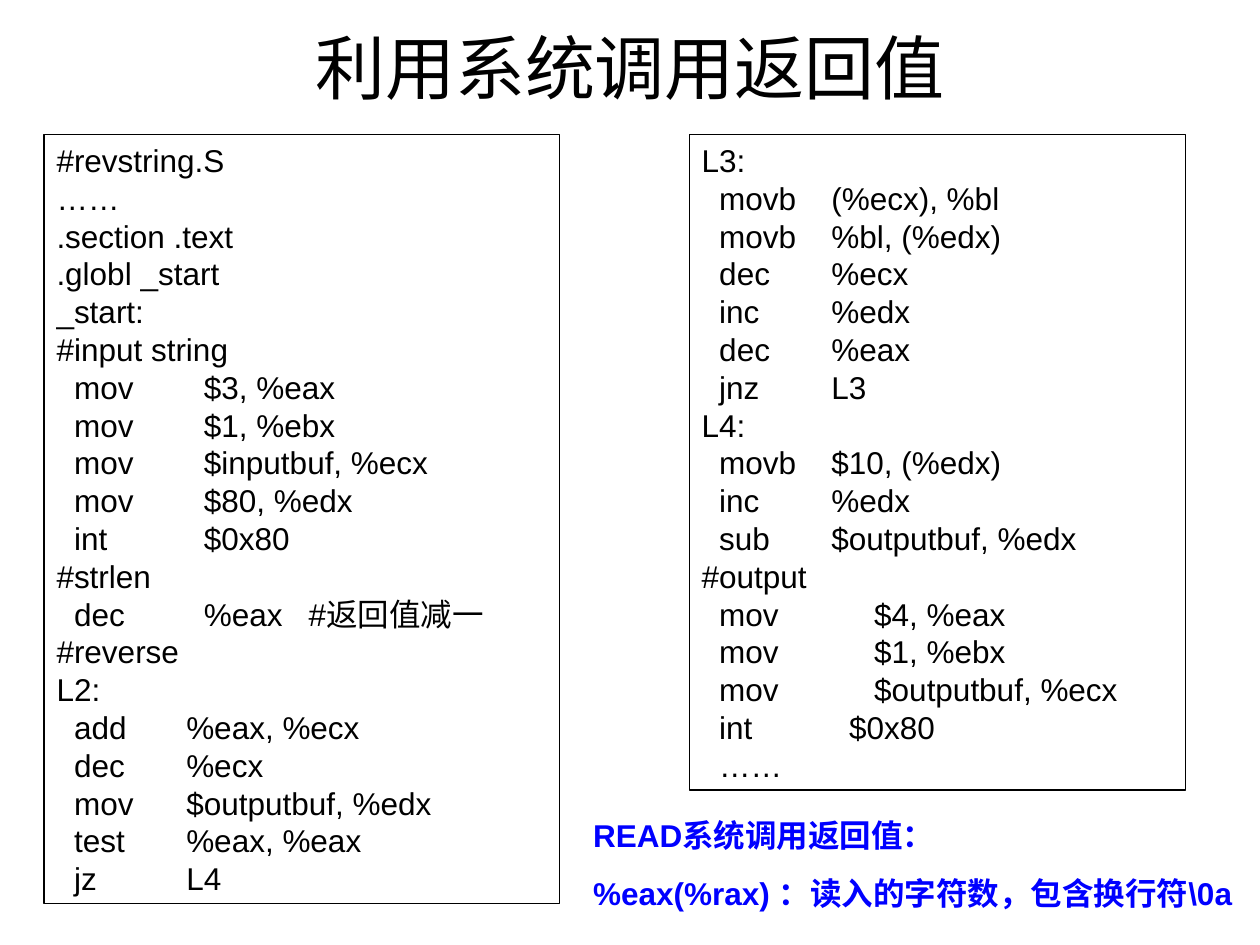
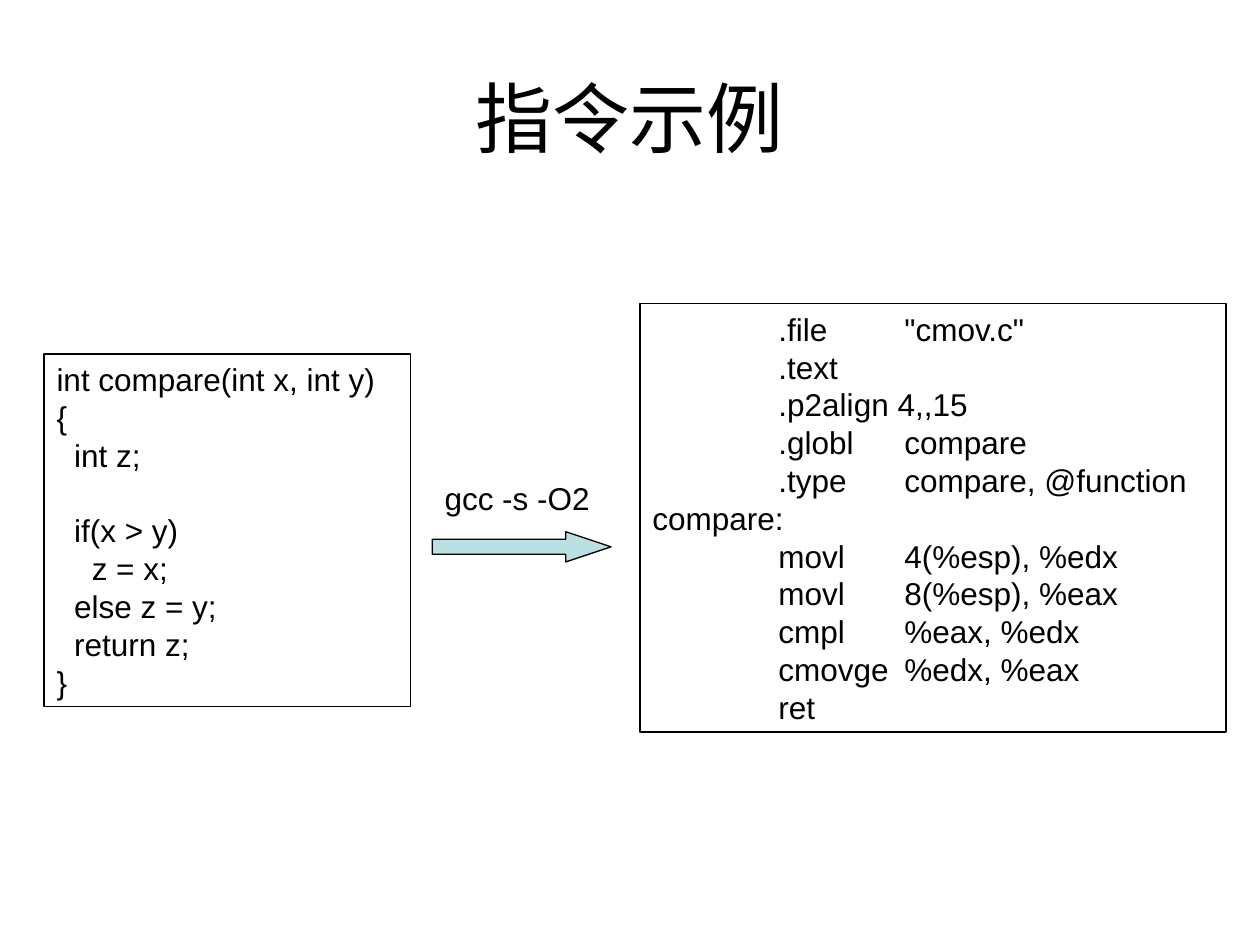
from lxml import etree
from pptx import Presentation
from pptx.dml.color import RGBColor
from pptx.enum.shapes import MSO_SHAPE
from pptx.enum.text import MSO_ANCHOR, PP_ALIGN
from pptx.oxml.ns import qn
from pptx.util import Inches, Pt

RECTANGLE = MSO_SHAPE.RECTANGLE
RIGHT_ARROW = MSO_SHAPE.RIGHT_ARROW
MIDDLE = MSO_ANCHOR.MIDDLE
TOP = MSO_ANCHOR.TOP
LEFT = PP_ALIGN.LEFT
CENTER = PP_ALIGN.CENTER

CELL = Inches(0.1)
FONT = "Arial"
BLACK, BLUE, PALE_TEAL = "000000", "0000FF", "BBE0E3"
BODY_SIZE = 18
LINE_PITCH = 21.6
NOTE_GAP = 11.2
INDENT = 0.14

INPUT_CODE = [
    ([], ["#revstring.S", "……", ".section .text", ".globl _start", "_start:",
          "#input string"]),
    ([INDENT, 1.17, 2], ["\tmov\t$3, %eax", "\tmov\t$1, %ebx",
                         "\tmov\t$inputbuf, %ecx", "\tmov\t$80, %edx",
                         "\tint\t$0x80", "#strlen",
                         "\tdec\t%eax\t#返回值减一"]),
    ([INDENT, 1.03], ["#reverse", "L2:", "\tadd\t%eax, %ecx", "\tdec\t%ecx",
                      "\tmov\t$outputbuf, %edx", "\ttest\t%eax, %eax",
                      "\tjz\tL4"]),
]
OUTPUT_CODE = [
    ([INDENT, 1.03], ["L3:", "\tmovb\t(%ecx), %bl", "\tmovb\t%bl, (%edx)",
                      "\tdec\t%ecx", "\tinc\t%edx", "\tdec\t%eax",
                      "\tjnz\tL3", "L4:", "\tmovb\t$10, (%edx)",
                      "\tinc\t%edx", "\tsub\t$outputbuf, %edx"]),
    ([INDENT, 1.37], ["#output", "\tmov\t$4, %eax", "\tmov\t$1, %ebx",
                      "\tmov\t$outputbuf, %ecx"]),
    ([INDENT, 1.17], ["\tint\t$0x80", "\t……"]),
]
C_DECLARATION = ([INDENT], ["int compare(int x, int y)", "{", "\tint z;"])
C_BODY = ([INDENT, 2 * INDENT], ["\tif(x > y)", "\t\tz = x;", "\telse z = y;",
                                 "\treturn z;", "}"])
ASSEMBLY = [
    ([1, 2], ["\t.file\t\"cmov.c\"", "\t.text", "\t.p2align 4,,15",
              "\t.globl\tcompare", "\t.type\tcompare, @function", "compare:",
              "\tmovl\t4(%esp), %edx", "\tmovl\t8(%esp), %eax",
              "\tcmpl\t%eax, %edx", "\tcmovge\t%edx, %eax", "\tret"]),
]


def rgb(value):
    return RGBColor.from_string(value)


def grid(*cells):
    return [round(cell * CELL) for cell in cells]


def add_tab_stops(p, stops):
    if stops:
        tabs = etree.SubElement(p._p.get_or_add_pPr(), qn("a:tabLst"))
        for stop in stops:
            etree.SubElement(tabs, qn("a:tab"), pos=str(Inches(stop)), algn="l")


def style_font(p, size, color=BLACK, bold=False):
    p.font.name = FONT
    p.font.size = Pt(size)
    p.font.bold = bold
    p.font.color.rgb = rgb(color)


def write_lines(tf, groups, gap=0, color=BLACK, bold=False):
    tf.word_wrap = True
    tf.vertical_anchor = TOP
    p = None
    for stops, lines in groups:
        for index, line in enumerate(lines):
            first = p is None
            p = tf.paragraphs[0] if first else tf.add_paragraph()
            p.text = line
            p.alignment = LEFT
            p.line_spacing = Pt(LINE_PITCH)
            if gap and not first and index == 0:
                p.space_before = Pt(gap)
            add_tab_stops(p, stops)
            style_font(p, BODY_SIZE, color, bold)


def add_outlined(slide, kind, box, fill=None):
    sp = slide.shapes.add_shape(kind, *grid(*box))
    sp.shadow.inherit = False
    sp.line.color.rgb = rgb(BLACK)
    sp.line.width = Pt(0.75)
    if fill:
        sp.fill.solid()
        sp.fill.fore_color.rgb = rgb(fill)
    else:
        sp.fill.background()
    return sp


def add_code(slide, box, groups, gap=0):
    write_lines(add_outlined(slide, RECTANGLE, box).text_frame, groups, gap)


def add_note(slide, box, lines, color=BLACK, bold=False):
    tf = slide.shapes.add_textbox(*grid(*box)).text_frame
    write_lines(tf, [([], [line]) for line in lines], NOTE_GAP, color, bold)


def add_title(slide, text, rows, size):
    tf = slide.shapes.add_textbox(*grid(5, 3, 90, rows)).text_frame
    tf.word_wrap = True
    tf.vertical_anchor = MIDDLE
    p = tf.paragraphs[0]
    p.text = text
    p.alignment = CENTER
    style_font(p, size)


def add_arrow(slide, box):
    sp = add_outlined(slide, RIGHT_ARROW, box, PALE_TEAL)
    sp.adjustments[0] = 0.5
    sp.adjustments[1] = 1.5


def build_return_value(slide):
    add_title(slide, "利用系统调用返回值", 4.6, 40)
    add_code(slide, (3.5, 10.7, 40.9, 61), INPUT_CODE)
    add_code(slide, (54.7, 10.7, 39.4, 52), OUTPUT_CODE)
    add_note(slide, (46.1, 64.3, 53.6, 11.6),
             ["READ系统调用返回值：", "%eax(%rax) ：读入的字符数，包含换行符\\0a"],
             BLUE, True)


def build_instruction_example(slide):
    add_title(slide, "指令示例", 12.5, 44)
    add_code(slide, (50.8, 24.1, 46.5, 34), ASSEMBLY)
    add_code(slide, (3.5, 28.1, 29.1, 28), [C_DECLARATION, C_BODY], LINE_PITCH)
    add_note(slide, (34.3, 37.5, 15, 4), ["gcc -s -O2"])
    add_arrow(slide, (34.3, 42.2, 14.2, 2.4))


def main():
    prs = Presentation()
    prs.slide_width, prs.slide_height = grid(100, 75)
    for build in (build_return_value, build_instruction_example):
        build(prs.slides.add_slide(prs.slide_layouts[6]))
    prs.save("out.pptx")


if __name__ == "__main__":
    main()
